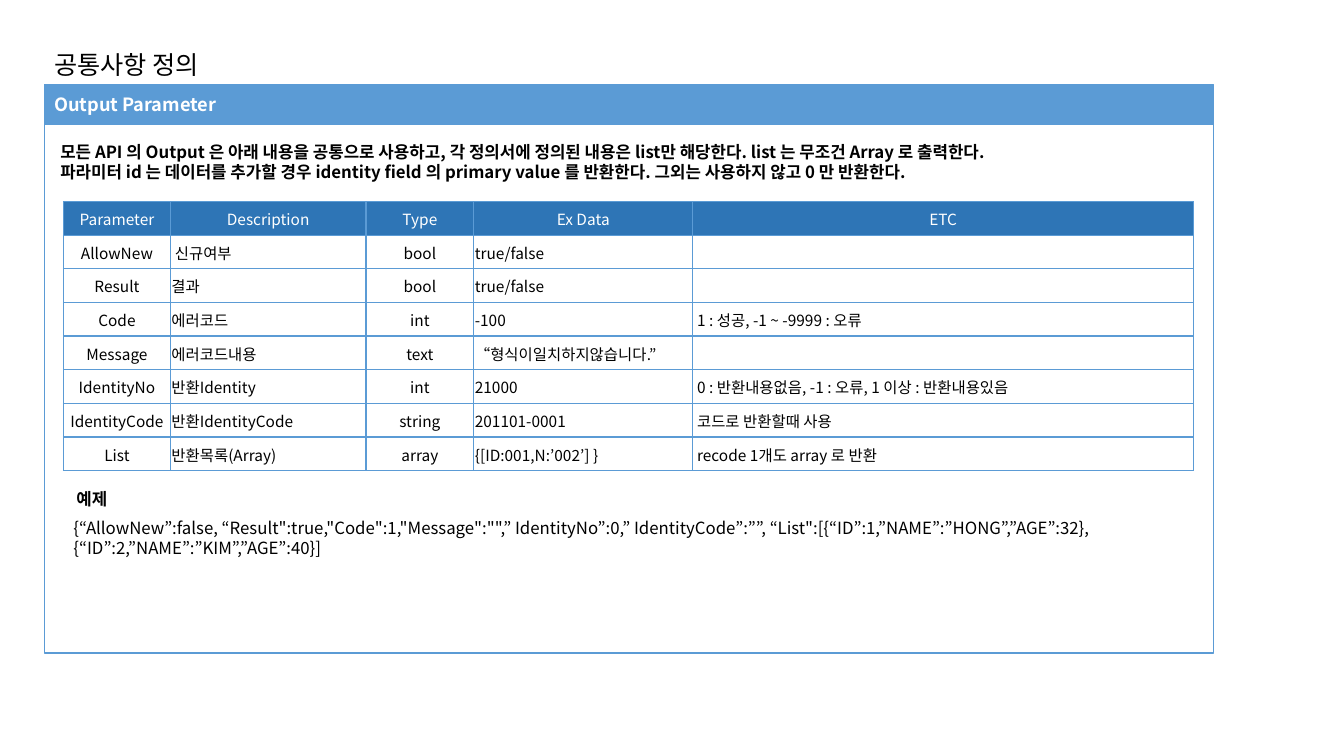
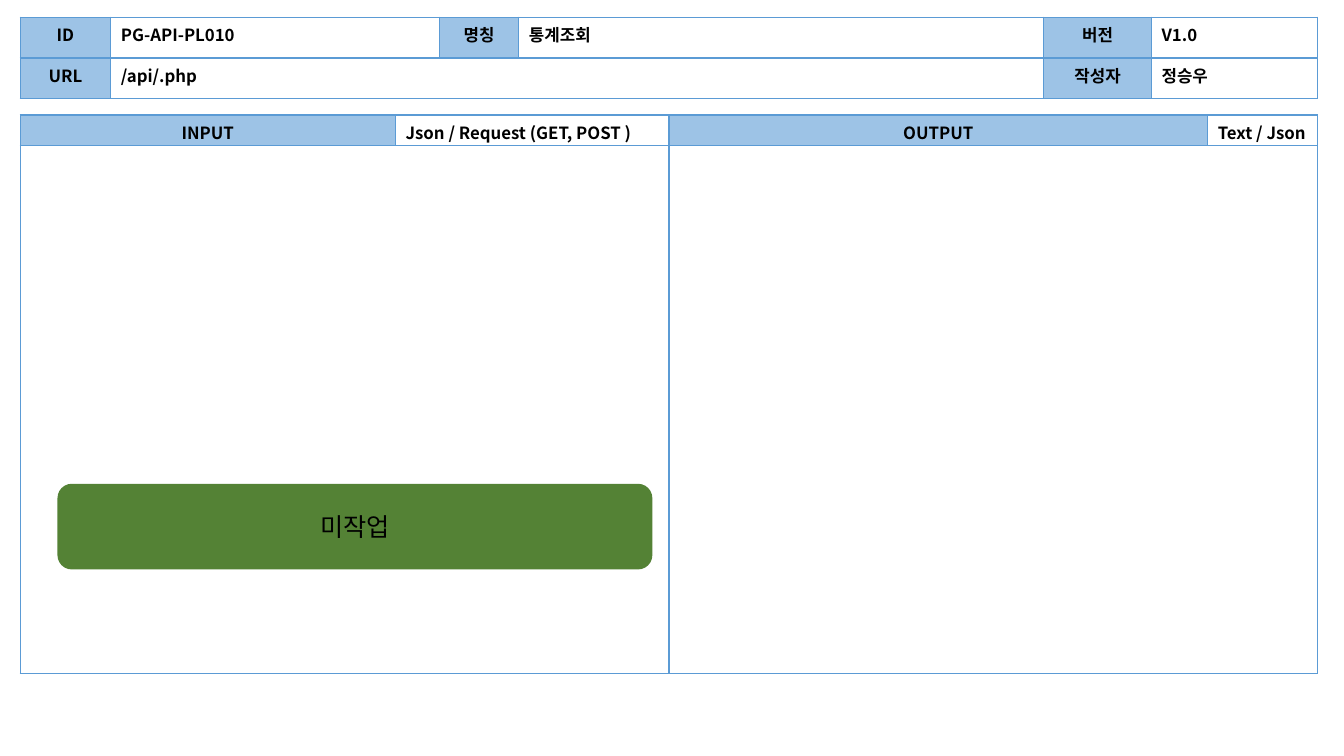
from dataclasses import dataclass
from typing import NamedTuple, Optional

from lxml.etree import SubElement
from pptx import Presentation
from pptx.dml.color import RGBColor
from pptx.enum.shapes import MSO_SHAPE
from pptx.enum.text import MSO_ANCHOR, PP_ALIGN
from pptx.oxml.ns import qn
from pptx.util import Inches, Pt

# Shared look
COLORS = {
    "ink": "000000",
    "paper": "FFFFFF",
    "line": "5B9BD5",
    "heading": "2E75B6",
    "label": "9DC3E6",
    "status": "548235",
}
FONT = "Noto Sans CJK KR"
LEFT, CENTER = PP_ALIGN.LEFT, PP_ALIGN.CENTER
TOP, MIDDLE = MSO_ANCHOR.TOP, MSO_ANCHOR.MIDDLE

deck = Presentation()
deck.slide_width, deck.slide_height = Inches(13.33), Inches(7.5)


class Box(NamedTuple):
    """Left, top, width and height in percent of the slide."""
    left: float
    top: float
    width: float
    height: float

    def lengths(self) -> list[int]:
        sides = (deck.slide_width, deck.slide_height) * 2
        return [round(side * share / 100) for side, share in zip(sides, self)]


class Entry(NamedTuple):
    text: str = ""
    align: PP_ALIGN = LEFT
    fill: str = "paper"
    color: str = "ink"
    span: int = 1


@dataclass
class Grid:
    box: Box
    columns: list[float]
    rows: list[float]
    entries: list[list[Entry]]
    size: float = 12
    bold: bool = True
    anchor: MSO_ANCHOR = TOP
    margins: tuple[float, float, float, float] = (0.1, 0.05, 0.1, 0.05)


def rgb(name: str) -> RGBColor:
    return RGBColor.from_string(COLORS[name])


def write(frame, text: str, *, size: float = 12, bold: bool = False,
          color: str = "ink", align: PP_ALIGN = LEFT) -> None:
    """Fill a text frame, one paragraph a line."""
    for number, line in enumerate(text.split("\n")):
        paragraph = frame.add_paragraph() if number else frame.paragraphs[0]
        paragraph.alignment = align
        run = paragraph.add_run()
        run.text = line
        run.font.size, run.font.bold, run.font.name = Pt(size), bold, FONT
        run.font.color.rgb = rgb(color)
        SubElement(run.font._element, qn("a:ea"), typeface=FONT)


def add_note(slide, box: Box, text: str, **style) -> None:
    frame = slide.shapes.add_textbox(*box.lengths()).text_frame
    frame.word_wrap = True
    write(frame, text, **style)


def add_block(slide, box: Box, text: str = "", *, fill: Optional[str] = None,
              line: Optional[str] = None,
              kind: MSO_SHAPE = MSO_SHAPE.RECTANGLE, **style) -> None:
    block = slide.shapes.add_shape(kind, *box.lengths())
    block.shadow.inherit = False
    if fill:
        block.fill.solid()
        block.fill.fore_color.rgb = rgb(fill)
    else:
        block.fill.background()
    if line:
        block.line.color.rgb, block.line.width = rgb(line), Pt(1)
    else:
        block.line.fill.background()
    if text:
        block.text_frame.vertical_anchor = MIDDLE
        write(block.text_frame, text, **style)


def add_borders(cell) -> None:
    properties = cell._tc.get_or_add_tcPr()
    for side in ("lnL", "lnR", "lnT", "lnB"):
        border = SubElement(properties, qn(f"a:{side}"), w=str(Pt(1)))
        fill = SubElement(border, qn("a:solidFill"))
        SubElement(fill, qn("a:srgbClr"), val=COLORS["line"])


def split(total: int, weights: list[float]) -> list[int]:
    return [round(total * weight / sum(weights)) for weight in weights]


def add_grid(slide, grid: Grid) -> None:
    left, top, width, height = grid.box.lengths()
    table = slide.shapes.add_table(len(grid.rows), len(grid.columns),
                                   left, top, width, height).table
    table.first_row = table.horz_banding = False
    for column, length in zip(table.columns, split(width, grid.columns)):
        column.width = length
    for row, length in zip(table.rows, split(height, grid.rows)):
        row.height = length
    for r, entries in enumerate(grid.entries):
        c = 0
        for entry in entries:
            cell = table.cell(r, c)
            if entry.span > 1:
                cell.merge(table.cell(r, c + entry.span - 1))
            for covered in range(c, c + entry.span):
                add_borders(table.cell(r, covered))
            cell.fill.solid()
            cell.fill.fore_color.rgb = rgb(entry.fill)
            cell.vertical_anchor = grid.anchor
            (cell.margin_left, cell.margin_top, cell.margin_right,
             cell.margin_bottom) = map(Inches, grid.margins)
            if entry.text:
                write(cell.text_frame, entry.text, size=grid.size,
                      bold=grid.bold, color=entry.color, align=entry.align)
            c += entry.span


def label(text: str) -> Entry:
    return Entry(text, CENTER, "label")


def new_slide():
    return deck.slides.add_slide(deck.slide_layouts[6])


# Slide 1: common output parameters
PARAMETERS = [
    ("AllowNew", " 신규여부", "bool", "true/false", ""),
    ("Result", "결과", "bool", "true/false", ""),
    ("Code", "에러코드", "int", "-100", " 1 : 성공, -1 ~ -9999 : 오류"),
    ("Message", "에러코드내용", "text", "“형식이일치하지않습니다.”", ""),
    ("IdentityNo", "반환Identity", "int", "21000",
     " 0 : 반환내용없음, -1 : 오류, 1 이상 : 반환내용있음"),
    ("IdentityCode", "반환IdentityCode", "string", "201101-0001",
     " 코드로 반환할때 사용"),
    ("List", "반환목록(Array)", "array", "{[ID:001,N:’002’] }",
     " recode 1개도 array 로 반환"),
]
HEADINGS = ("Parameter", "Description", "Type", "Ex Data", "ETC")
PARAMETER_ALIGN = (CENTER, LEFT, CENTER, LEFT, LEFT)

common = new_slide()
add_note(common, Box(3.3, 5.87, 13.58, 5.33), "공통사항 정의", size=18)
add_block(common, Box(3.3, 16.4, 87, 70), line="line")
add_block(common, Box(3.3, 11.2, 87, 5.2), "Output Parameter", fill="line",
          line="line", size=13, bold=True, color="paper")
add_grid(common, Grid(
    Box(4.73, 26.67, 84.1, 35.6),
    columns=[1.06, 1.94, 1.07, 2.17, 4.97],
    rows=[1] * (len(PARAMETERS) + 1),
    entries=[[Entry(text, CENTER, "heading", "paper") for text in HEADINGS]]
    + [[Entry(text, align) for text, align in zip(row, PARAMETER_ALIGN)]
       for row in PARAMETERS],
    size=11, bold=False, anchor=MIDDLE, margins=(0.01, 0.01, 0.01, 0)))
add_note(common, Box(4.95, 64, 4.5, 4), "예제", bold=True)
add_note(common, Box(4.73, 67.87, 91, 4),
         '{“AllowNew”:false, “Result":true,"Code":1,"Message":"",” IdentityNo”:0,'
         '” IdentityCode”:””, “List":[{“ID”:1,”NAME”:”HONG”,”AGE”:32}, '
         '{“ID”:2,”NAME”:”KIM”,”AGE”:40}]')
add_note(common, Box(3.75, 18.13, 77.57, 6.67),
         "모든 API 의 Output 은 아래 내용을 공통으로 사용하고, 각 정의서에 정의된 "
         "내용은 list만 해당한다. list 는 무조건 Array 로 출력한다.\n"
         "파라미터 id 는 데이터를 추가할 경우 identity field 의 primary value 를 "
         "반환한다. 그외는 사용하지 않고 0 만 반환한다.", bold=True)

# Slide 2: statistics API sheet
statistics = new_slide()
add_grid(statistics, Grid(
    Box(1.5, 2.27, 96.55, 10.8),
    columns=[0.9, 3.26, 0.79, 5.21, 1.07, 1.65],
    rows=[1, 1],
    entries=[
        [label("ID"), Entry("PG-API-PL010"), label("명칭"), Entry("통계조회"),
         label("버전"), Entry("V1.0")],
        [label("URL"), Entry("/api/.php", span=3), label("작성자"),
         Entry("정승우")],
    ]))
add_grid(statistics, Grid(
    Box(1.5, 15.2, 96.55, 73.87),
    columns=[3.72, 2.71, 5.34, 1.09],
    rows=[0.3, 5.24],
    entries=[
        [label("INPUT"), Entry("Json / Request (GET, POST )"),
         label("OUTPUT"), Entry("Text / Json")],
        [Entry(span=2), Entry(span=2)],
    ]))
add_block(statistics, Box(4.28, 64, 44.26, 11.33), "미작업", fill="status",
          kind=MSO_SHAPE.ROUNDED_RECTANGLE, size=18, align=CENTER)

deck.save("out.pptx")
